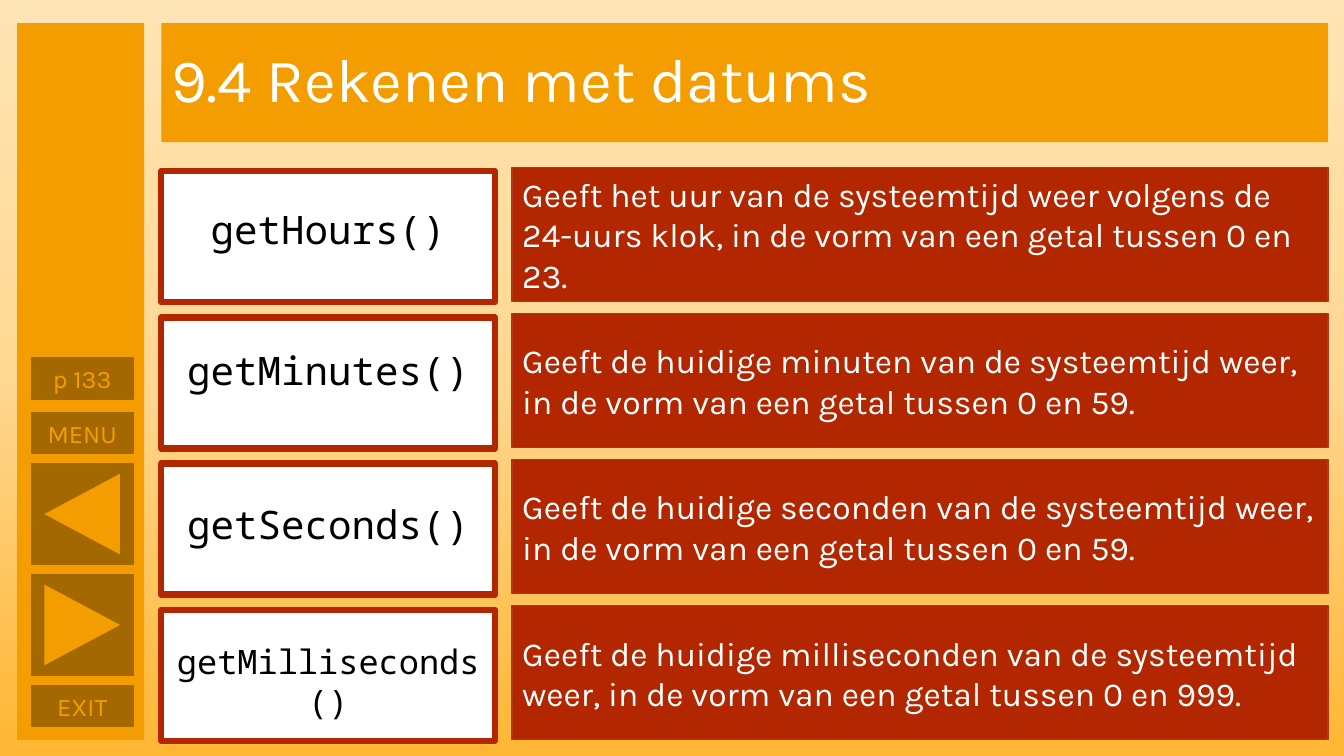
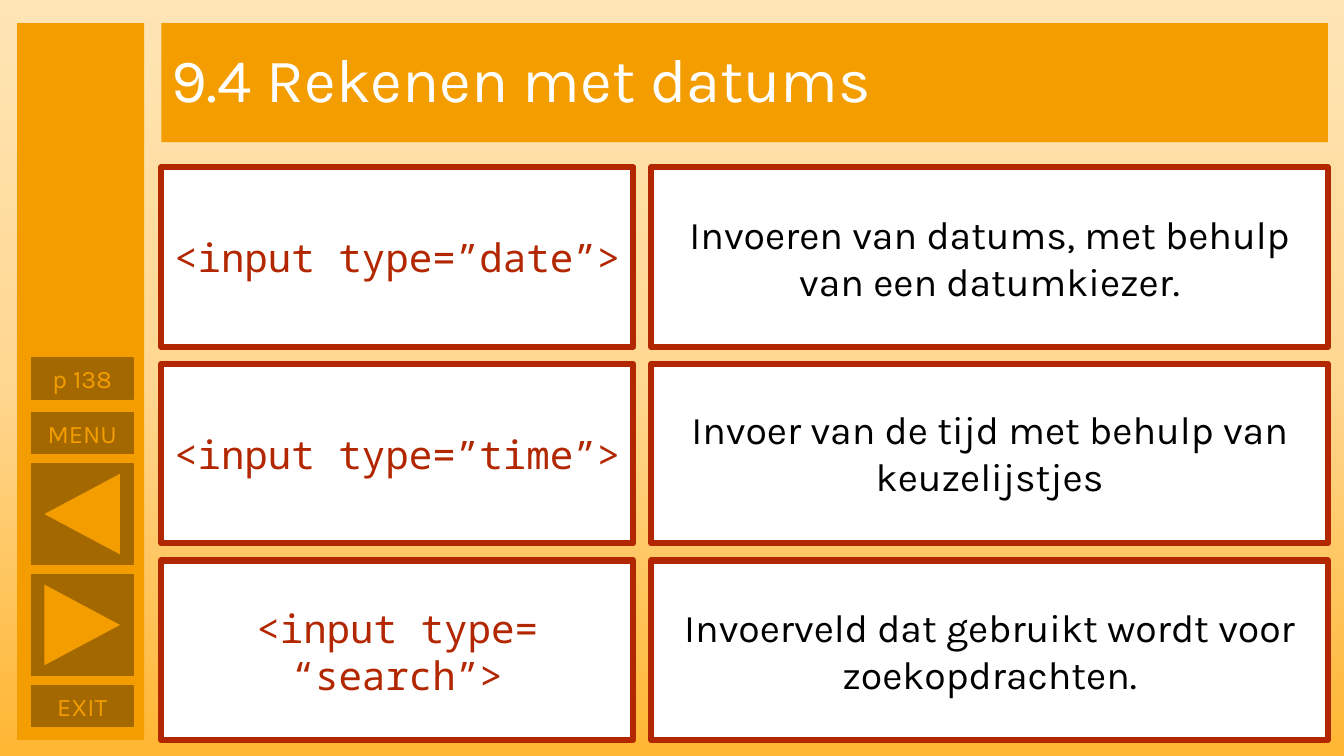
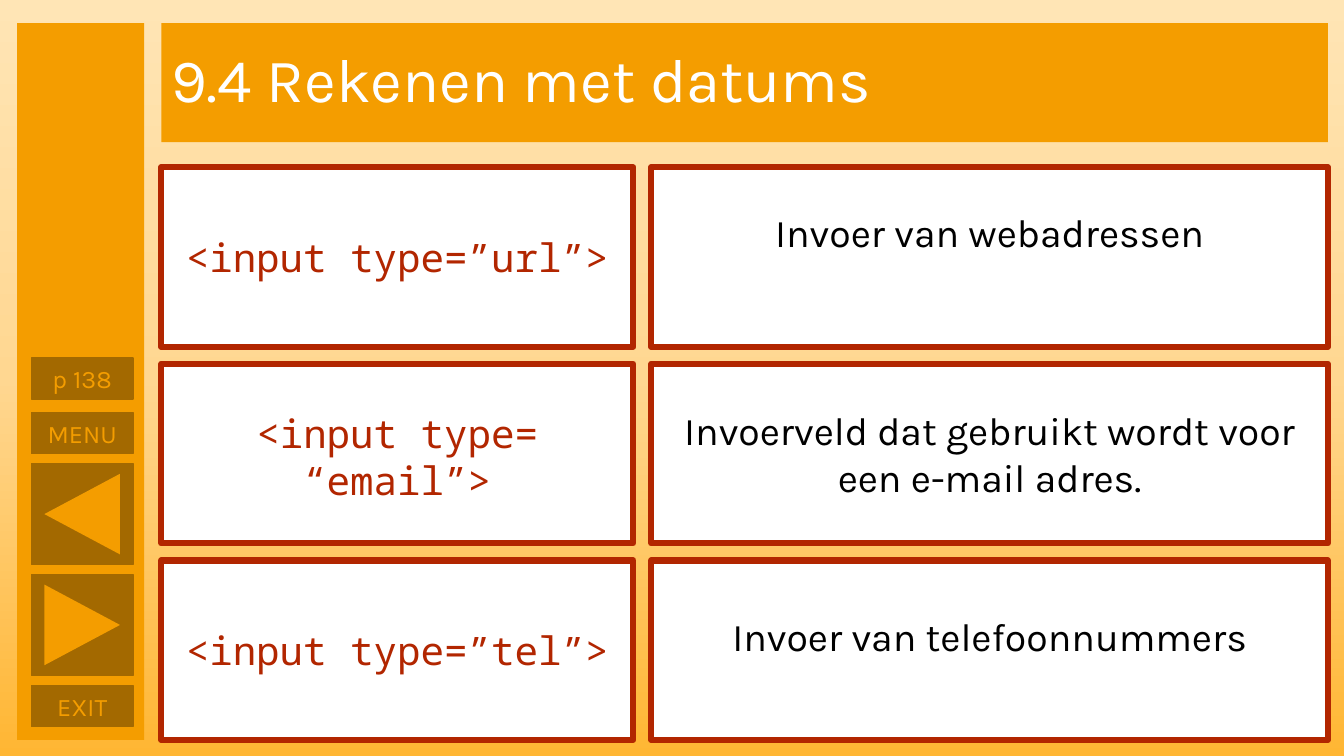
from dataclasses import dataclass
from typing import Optional

from pptx import Presentation
from pptx.dml.color import RGBColor
from pptx.enum.shapes import MSO_SHAPE
from pptx.enum.text import MSO_ANCHOR, MSO_AUTO_SIZE, PP_ALIGN
from pptx.oxml import parse_xml
from pptx.oxml.ns import nsdecls, qn
from pptx.util import Inches, Pt

RECTANGLE, TRIANGLE = MSO_SHAPE.RECTANGLE, MSO_SHAPE.ISOSCELES_TRIANGLE
MIDDLE, TOP = MSO_ANCHOR.MIDDLE, MSO_ANCHOR.TOP
LEFT, CENTER = PP_ALIGN.LEFT, PP_ALIGN.CENTER
GROW = MSO_AUTO_SIZE.SHAPE_TO_FIT_TEXT

COLORS = {
    "orange": "F49D00", "brown": "A36900", "red": "B22600", "edge": "AC3819",
    "white": "FFFFFF", "black": "000000",
}
BACKGROUND_STOPS = {0: "FFE5B5", 50: "FFD791", 100: "FFB633"}
BODY_FONT, CODE_FONT = "Karla", "Noto Sans Mono"
TITLE = "9.4 Rekenen met datums"
CARD_LINE = 4.5


@dataclass(frozen=True)
class Box:
    left: float
    top: float
    width: float
    height: float


@dataclass(frozen=True)
class TextStyle:
    size: float
    color: str
    font: str = BODY_FONT
    align: PP_ALIGN = CENTER
    line_spacing: Optional[float] = None


@dataclass(frozen=True)
class Grid:
    """One column of equally spaced cells."""
    left: float
    width: float
    top: float
    pitch: float
    height: float

    def cell(self, row: int) -> Box:
        return Box(self.left, self.top + row * self.pitch, self.width, self.height)


@dataclass(frozen=True)
class Label:
    """Card text, centred in its card unless an offset from the top is given."""
    text: str
    offset: Optional[float] = None
    size: float = 28


@dataclass(frozen=True)
class Page:
    number: str
    rows: list[tuple[Label, Label]]


TITLE_BAND = Box(1.6, 0.23, 11.57, 1.18)
SIDEBAR = Box(0.17, 0.23, 1.26, 7.11)
BUTTON_LEFT, BUTTON_WIDTH = 0.31, 1.01
LABEL_BUTTON_HEIGHT, ARROW_BUTTON_HEIGHT = 0.41, 1.0
ARROW_WIDTH, ARROW_HEIGHT = 0.8, 0.75

METHOD_GRID = Grid(1.6, 3.31, 1.7, 1.45, 1.3)
MEANING_GRID = Grid(5.08, 8.09, 1.66, 1.45, 1.33)
INPUT_GRID = Grid(1.6, 4.68, 1.66, 1.95, 1.78)
USE_GRID = Grid(6.46, 6.71, 1.66, 1.95, 1.78)

METHODS = Page("p 133", [
    (Label("getHours()", 0.29),
     Label("Geeft het uur van de systeemtijd weer volgens de 24-uurs klok, "
           "in de vorm van een getal tussen 0 en 23.")),
    (Label("getMinutes()", 0.24),
     Label("Geeft de huidige minuten van de systeemtijd weer, "
           "in de vorm van een getal tussen 0 en 59.")),
    (Label("getSeconds()", 0.31),
     Label("Geeft de huidige seconden van de systeemtijd weer, "
           "in de vorm van een getal tussen 0 en 59.")),
    (Label("getMilliseconds()", 0.26, 24),
     Label("Geeft de huidige milliseconden van de systeemtijd weer, "
           "in de vorm van een getal tussen 0 en 999.")),
])
INPUT_PAGES = [
    Page("p 138", [
        (Label("<input type=”date”>"),
         Label("Invoeren van datums, met behulp van een datumkiezer.")),
        (Label("<input type=”time”>"),
         Label("Invoer van de tijd met behulp van keuzelijstjes", 0.36)),
        (Label("<input type= “search”>", 0.39),
         Label("Invoerveld dat gebruikt wordt voor zoekopdrachten.")),
    ]),
    Page("p 138", [
        (Label("<input type=”url”>"), Label("Invoer van webadressen", 0.36)),
        (Label("<input type= “email”>", 0.4),
         Label("Invoerveld dat gebruikt wordt voor een e-mail adres.")),
        (Label("<input type=”tel”>"), Label("Invoer van telefoonnummers", 0.47)),
    ]),
]


def color(name: str) -> RGBColor:
    return RGBColor.from_string(COLORS[name])


def lengths(box: Box) -> list[int]:
    return [Inches(value) for value in (box.left, box.top, box.width, box.height)]


def write(shape, text: str, style: TextStyle, anchor: MSO_ANCHOR = MIDDLE) -> None:
    frame = shape.text_frame
    frame.word_wrap = True
    frame.vertical_anchor = anchor
    paragraph = frame.paragraphs[0]
    paragraph.alignment = style.align
    if style.line_spacing:
        paragraph.line_spacing = style.line_spacing
    run = paragraph.add_run()
    run.text = text
    run.font.name = style.font
    run.font.size = Pt(style.size)
    run.font.color.rgb = color(style.color)


def add_block(slide, box: Box, fill: str, line: Optional[str] = None,
              line_width: float = 1, kind: MSO_SHAPE = RECTANGLE):
    shape = slide.shapes.add_shape(kind, *lengths(box))
    shape.shadow.inherit = False
    shape.fill.solid()
    shape.fill.fore_color.rgb = color(fill)
    if line:
        shape.line.color.rgb = color(line)
        shape.line.width = Pt(line_width)
    else:
        shape.line.fill.background()
    return shape


def add_button(slide, top: float, height: float):
    box = Box(BUTTON_LEFT, top, BUTTON_WIDTH, height)
    return add_block(slide, box, "brown", "brown")


def add_label_button(slide, top: float, text: str) -> None:
    button = add_button(slide, top, LABEL_BUTTON_HEIGHT)
    write(button, text, TextStyle(18, "orange"))


def add_arrow_button(slide, top: float, rotation: float) -> None:
    add_button(slide, top, ARROW_BUTTON_HEIGHT)
    arrow_box = Box(BUTTON_LEFT + (BUTTON_WIDTH - ARROW_WIDTH) / 2,
                    top + (ARROW_BUTTON_HEIGHT - ARROW_HEIGHT) / 2,
                    ARROW_WIDTH, ARROW_HEIGHT)
    add_block(slide, arrow_box, "orange", kind=TRIANGLE).rotation = rotation


def add_card(slide, box: Box, label: Label, text_color: str, font: str = BODY_FONT) -> None:
    """White card with a red border; offset text gets its own text box."""
    target = add_block(slide, box, "white", "red", CARD_LINE)
    anchor = MIDDLE
    if label.offset is not None:
        text_box = Box(box.left, box.top + label.offset, box.width, 0.57)
        target = slide.shapes.add_textbox(*lengths(text_box))
        target.text_frame.auto_size = GROW
        anchor = TOP
    write(target, label.text, TextStyle(label.size, text_color, font), anchor)


def set_background(presentation) -> None:
    """Vertical gradient on the master, inherited by every slide."""
    master = presentation.slide_master
    fill = master.background.fill
    fill.gradient()
    fill.gradient_angle = 270
    stops = "".join(f'<a:gs pos="{share * 1000}"><a:srgbClr val="{value}"/></a:gs>'
                    for share, value in BACKGROUND_STOPS.items())
    stop_list = next(master.element.iter(qn("a:gsLst")))
    stop_list.getparent().replace(
        stop_list, parse_xml(f'<a:gsLst {nsdecls("a")}>{stops}</a:gsLst>'))


def add_page(presentation, page: Page):
    """Slide with the title band and the navigation bar."""
    slide = presentation.slides.add_slide(presentation.slide_layouts[6])
    title = add_block(slide, TITLE_BAND, "orange")
    write(title, TITLE, TextStyle(44, "white", align=LEFT, line_spacing=0.9))
    add_block(slide, SIDEBAR, "orange")
    add_label_button(slide, 3.55, page.number)
    add_label_button(slide, 4.09, "MENU")
    add_arrow_button(slide, 4.6, 270)
    add_arrow_button(slide, 5.7, 90)
    add_label_button(slide, 6.8, "EXIT")
    return slide


def add_method_page(presentation, page: Page) -> None:
    slide = add_page(presentation, page)
    for row, (method, meaning) in enumerate(page.rows):
        add_card(slide, METHOD_GRID.cell(row), method, "black", CODE_FONT)
        block = add_block(slide, MEANING_GRID.cell(row), "red", "edge")
        write(block, meaning.text, TextStyle(24, "white", align=LEFT))


def add_input_page(presentation, page: Page) -> None:
    slide = add_page(presentation, page)
    for row, (tag, use) in enumerate(page.rows):
        add_card(slide, INPUT_GRID.cell(row), tag, "red", CODE_FONT)
        add_card(slide, USE_GRID.cell(row), use, "black")


def main() -> None:
    presentation = Presentation()
    presentation.slide_width, presentation.slide_height = Inches(13.33), Inches(7.5)
    set_background(presentation)
    add_method_page(presentation, METHODS)
    for page in INPUT_PAGES:
        add_input_page(presentation, page)
    presentation.save("out.pptx")


if __name__ == "__main__":
    main()
